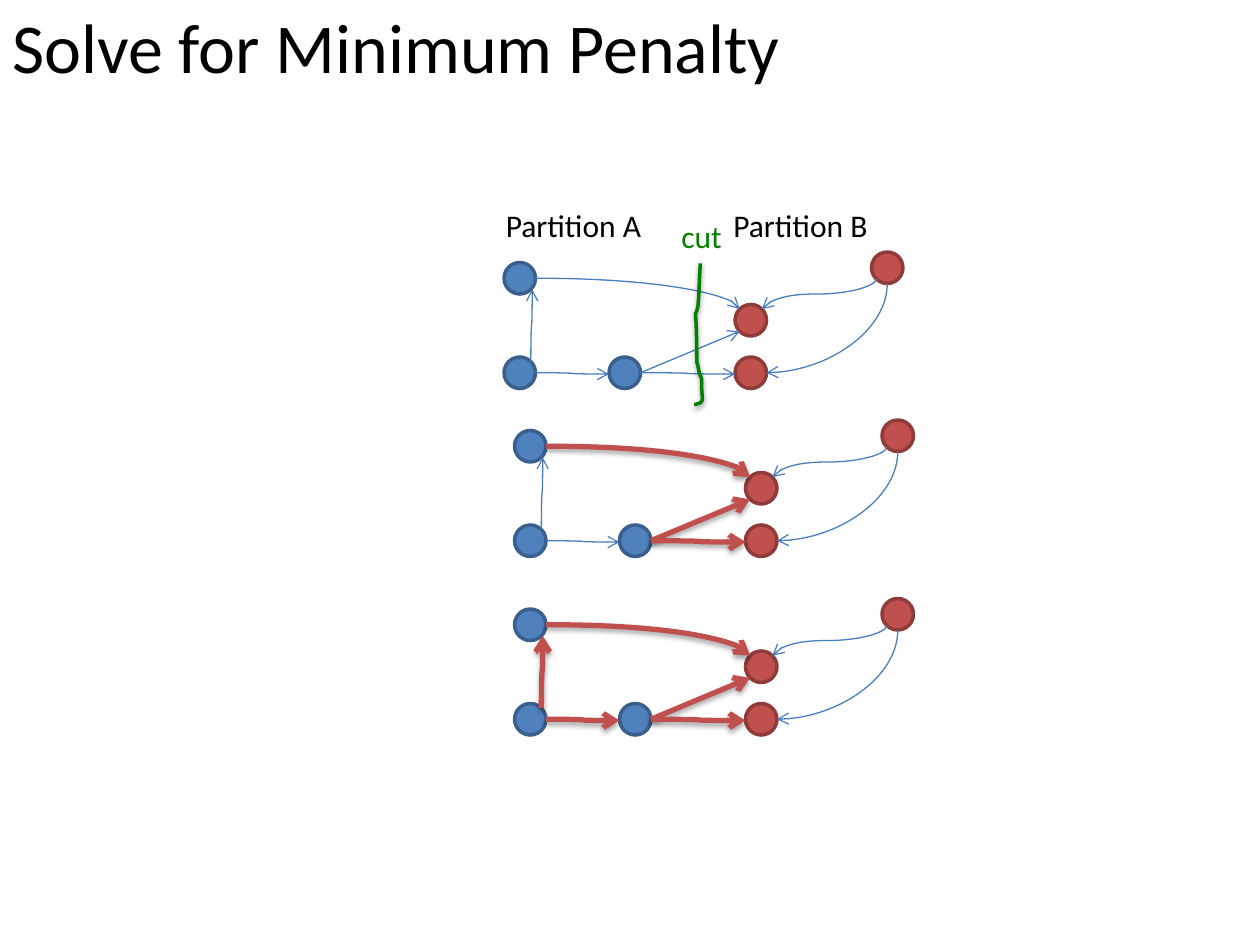
import math
from lxml import etree
from pptx import Presentation, util as u
from pptx.dml.color import RGBColor
from pptx.enum import shapes, text
from pptx.oxml.ns import qn

# Content: all lengths in points
TEXTS = [  # wording, left, top, width, height, size, colour, tab stop
    ("Solve for Minimum Penalty", 0, -1.5, 457.2, 55.5, 40, "000000", None),
    ("Partition A\tPartition B", 282, 114, 225, 29, 18, "000000", 130),
    ("cut", 382.3, 120.5, 38.2, 29, 18, "008000", None),
]
DIAMETER = 18
BLUE, RED = ("4F81BD", "3A5F8C"), ("C0504D", "8E3B39")
NODES = {  # offset from the graph's origin, fill and outline
    "upper left": (0, 0, BLUE),
    "lower left": (0, 54, BLUE),
    "lower middle": (60, 54, BLUE),
    "center": (132, 24, RED),
    "far right": (210, -6, RED),
    "lower right": (132, 54, RED),
}
EDGES = {  # from node, side, to node, side, geometry, starts vertically, end shift
    "top": ("upper left", "E", "center", "NW", "curvedConnector2", False, (0, 0)),
    "up": ("lower left", "NE", "upper left", "SE", "curvedConnector3", True, (0.8, 0)),
    "left": ("lower left", "E", "lower middle", "W", "curvedConnector3", False, (0, 0.8)),
    "diagonal": ("lower middle", "E", "center", "SW", "line", False, (0, 0)),
    "bottom": ("lower middle", "E", "lower right", "W", "curvedConnector3", False, (0, 0.8)),
    "right": ("far right", "SW", "center", "NE", "curvedConnector3", True, (0, 0)),
    "outer": ("far right", "S", "lower right", "E", "curvedConnector2", True, (0, 0)),
}
GRAPHS = [  # origin, highlighted edges
    (294, 348, {"top", "up", "left", "diagonal", "bottom"}),
    (294, 246, {"top", "diagonal", "bottom"}),
    (288, 150, set()),
]
CUT_START = (400.2, 150.5)
CUT_CURVES = [  # two control points and an end point each
    ((399.6, 158.4), (399.6, 166.3), (398.9, 174.2)),
    ((398.9, 176.4), (397.4, 179.3), (397.4, 179.3)),
    ((398.1, 187.9), (398.1, 197.3), (398.2, 206.6)),
    ((398.2, 207.4), (398.9, 208.8), (398.9, 209.5)),
    ((400.3, 216.7), (399.6, 212.4), (401, 216.7)),
    ((400.3, 228.2), (403.9, 229.7), (397.4, 231.1)),
    ((397.4, 231.1), (396.7, 231.1), (396.7, 231.1)),
]
ANGLES = {side: math.radians(45 * i) for i, side in
          enumerate(("E", "SE", "S", "SW", "W", "NW", "N", "NE"))}


def color(value):
    return RGBColor.from_string(value)


def set_effects(shape, opacity=None, distance=0):
    """Replace the theme effect by a soft shadow below, or by nothing."""
    effects = etree.SubElement(shape._element.spPr, qn("a:effectLst"))
    if opacity:
        shadow = etree.SubElement(effects, qn("a:outerShdw"), blurRad=str(u.Pt(3.1)),
                                  dist=str(u.Pt(distance)), dir="5400000", rotWithShape="0")
        black = etree.SubElement(shadow, qn("a:srgbClr"), val="000000")
        etree.SubElement(black, qn("a:alpha"), val=str(opacity * 1000))


def add_node(slide, x, y, colors):
    shape = slide.shapes.add_shape(shapes.MSO_SHAPE.OVAL, u.Pt(x), u.Pt(y),
                                   u.Pt(DIAMETER), u.Pt(DIAMETER))
    shape.shadow.inherit = False
    shape.fill.solid()
    shape.fill.fore_color.rgb = color(colors[0])
    shape.line.color.rgb = color(colors[1])
    shape.line.width = u.Pt(2)


def rim_point(name, side):
    x, y, _ = NODES[name]
    radius = DIAMETER / 2
    return (x + radius + radius * math.cos(ANGLES[side]),
            y + radius + radius * math.sin(ANGLES[side]))


def add_edge(slide, origin, edge, highlighted):
    source, source_side, target, target_side, geometry, vertical, shift = edge
    x1, y1 = (a + b for a, b in zip(origin, rim_point(source, source_side)))
    x2, y2 = (a + b + c for a, b, c in zip(origin, rim_point(target, target_side), shift))
    if vertical:  # lay the box flat around its centre, then turn it by 90 degrees
        middle_x, middle_y, dx, dy = (x1 + x2) / 2, (y1 + y2) / 2, x2 - x1, y2 - y1
        x1, x2 = middle_x - dy / 2, middle_x + dy / 2
        y1, y2 = middle_y + dx / 2, middle_y - dx / 2
    kind = shapes.MSO_CONNECTOR.STRAIGHT if geometry == "line" else shapes.MSO_CONNECTOR.CURVE
    connector = slide.shapes.add_connector(kind, u.Pt(x1), u.Pt(y1), u.Pt(x2), u.Pt(y2))
    properties = connector._element.spPr
    properties.find(qn("a:prstGeom")).set("prst", geometry)
    if vertical:
        properties.find(qn("a:xfrm")).set("rot", "5400000")
    connector.line.color.rgb = color("C0504D" if highlighted else "4B7EBC")
    connector.line.width = u.Pt(3 if highlighted else 0.75)
    etree.SubElement(properties.find(qn("a:ln")), qn("a:tailEnd"), type="arrow")
    set_effects(connector, 35 if highlighted else None, 1.8)


def add_cut(slide, steps=6):
    points, start = [], CUT_START
    for control_1, control_2, end in CUT_CURVES:
        for step in range(1, steps + 1):
            t = step / steps
            weights = ((1 - t) ** 3, 3 * t * (1 - t) ** 2, 3 * t * t * (1 - t), t ** 3)
            corners = (start, control_1, control_2, end)
            points.append(tuple(u.Pt(sum(w * c[axis] for w, c in zip(weights, corners)))
                                for axis in (0, 1)))
        start = end
    builder = slide.shapes.build_freeform(u.Pt(CUT_START[0]), u.Pt(CUT_START[1]))
    builder.add_line_segments(points, close=False)
    shape = builder.convert_to_shape()
    shape.fill.background()
    shape.line.color.rgb = color("008000")
    shape.line.width = u.Pt(2)
    set_effects(shape, 38, 1.6)


def add_text(slide, wording, left, top, width, height, size, text_color, tab_stop):
    box = slide.shapes.add_textbox(u.Pt(left), u.Pt(top), u.Pt(width), u.Pt(height))
    frame = box.text_frame
    frame.word_wrap = tab_stop is not None
    frame.auto_size = text.MSO_AUTO_SIZE.SHAPE_TO_FIT_TEXT
    paragraph = frame.paragraphs[0]
    if tab_stop:
        tabs = etree.SubElement(paragraph._p.get_or_add_pPr(), qn("a:tabLst"))
        etree.SubElement(tabs, qn("a:tab"), pos=str(u.Pt(tab_stop)), algn="l")
    run = paragraph.add_run()
    run.text = wording
    run.font.name = "Calibri"
    run.font.size = u.Pt(size)
    run.font.color.rgb = color(text_color)


def main():
    presentation = Presentation()
    presentation.slide_width, presentation.slide_height = u.Pt(720), u.Pt(540)
    slide = presentation.slides.add_slide(presentation.slide_layouts[6])

    # Three states of the same graph
    for left, top, highlights in GRAPHS:
        for x, y, colors in NODES.values():
            add_node(slide, left + x, top + y, colors)
        for name, edge in EDGES.items():
            add_edge(slide, (left, top), edge, name in highlights)

    # Cut line, title and labels
    add_cut(slide)
    for entry in TEXTS:
        add_text(slide, *entry)
    presentation.save("out.pptx")


if __name__ == "__main__":
    main()
